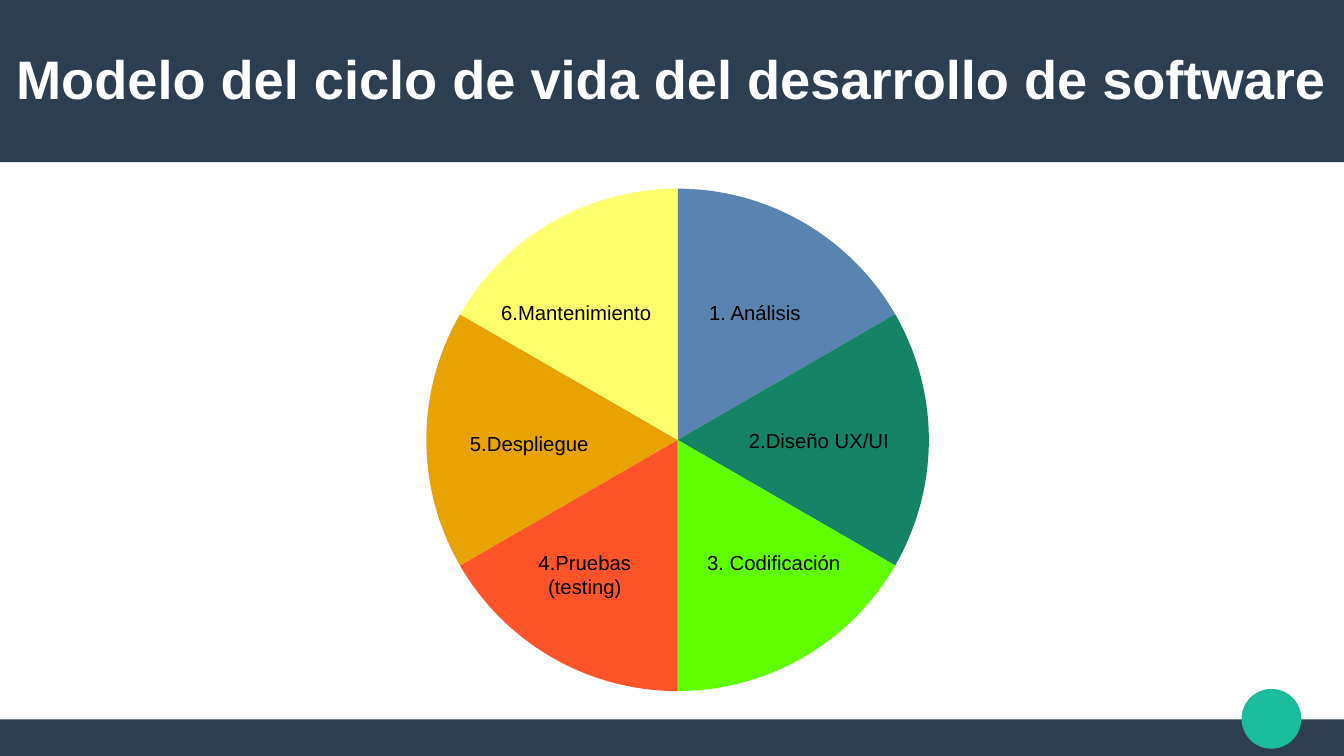
from lxml import etree
from pptx import Presentation
from pptx.chart.data import CategoryChartData
from pptx.dml.color import RGBColor
from pptx.enum.chart import XL_CHART_TYPE
from pptx.enum.shapes import MSO_SHAPE
from pptx.enum.text import MSO_ANCHOR, MSO_AUTO_SIZE, PP_ALIGN
from pptx.oxml.ns import qn
from pptx.util import Inches, Pt

WIDTH, HEIGHT = 11.02, 6.2
FONT = "Arial"
COLORS = {
    "band": "2C3E50",
    "accent": "1ABC9C",
    "title": "FFFFFF",
    "text": "000000",
    "analysis": "5983B0",
    "design": "158466",
    "coding": "60FF00",
    "testing": "FF5429",
    "deployment": "E8A202",
    "maintenance": "FFFF6D",
}
# Phase color, label, and label box relative to the chart box
PHASES = [
    ("analysis", "1. Análisis", (4.4, 1.05, 1, 0.29)),
    ("design", "2.Diseño UX/UI", (4.63, 2.1, 1.59, 0.33)),
    ("coding", "3. Codificación", (4.36, 3.1, 1.39, 0.29)),
    ("testing", "4.Pruebas\n(testing)", (2.65, 3.1, 1.71, 0.59)),
    ("deployment", "5.Despliegue", (2.28, 2.13, 1.54, 0.29)),
    ("maintenance", "6.Mantenimiento", (2.6, 1.05, 1.67, 0.36)),
]


def color(name):
    return RGBColor.from_string(COLORS[name])


def write_text(shape, text, *, size, color_name="text", bold=False,
               anchor=MSO_ANCHOR.TOP, margins=(0.1, 0.05)):
    frame = shape.text_frame
    frame.word_wrap = True
    frame.auto_size = MSO_AUTO_SIZE.NONE
    frame.vertical_anchor = anchor
    frame.margin_left = frame.margin_right = Inches(margins[0])
    frame.margin_top = frame.margin_bottom = Inches(margins[1])
    paragraph = frame.paragraphs[0]
    paragraph.alignment = PP_ALIGN.CENTER
    for index, line in enumerate(text.split("\n")):
        if index:
            paragraph.add_line_break()
        run = paragraph.add_run()
        run.text = line
        run.font.name = FONT
        run.font.size = Pt(size)
        run.font.bold = bold
        run.font.color.rgb = color(color_name)


def add_filled_shape(slide, kind, box, color_name):
    shape = slide.shapes.add_shape(kind, *map(Inches, box))
    shape.shadow.inherit = False
    shape.fill.solid()
    shape.fill.fore_color.rgb = color(color_name)
    shape.line.fill.background()


def add_header(slide, left, top, width, height):
    add_filled_shape(slide, MSO_SHAPE.RECTANGLE, (left, top, width, height), "band")
    title = slide.shapes.title
    title.left, title.top = Inches(left), Inches(top)
    title.width, title.height = Inches(width), Inches(height - 0.05)
    write_text(title, "Modelo del ciclo de vida del desarrollo de software",
               size=32, color_name="title", bold=True,
               anchor=MSO_ANCHOR.MIDDLE, margins=(0, 0))
    slide.shapes._spTree.append(title._element)  # bring the title above its band


def add_footer(slide, left, top, width, height):
    add_filled_shape(slide, MSO_SHAPE.RECTANGLE, (left, top, width, height), "band")
    diameter = 0.49
    add_filled_shape(slide, MSO_SHAPE.OVAL,
                     (left + width - 0.84, top - 0.25, diameter, diameter), "accent")


def set_plot_layout(chart, **fractions):
    """Fix the inner plot area, in fractions of the chart box."""
    plot_area = chart._chartSpace.chart.plotArea
    for old_layout in plot_area.findall(qn("c:layout")):
        plot_area.remove(old_layout)
    layout = etree.Element(qn("c:layout"))
    plot_area.insert(0, layout)
    manual = etree.SubElement(layout, qn("c:manualLayout"))
    settings = {"layoutTarget": "inner", "xMode": "edge", "yMode": "edge", **fractions}
    for tag, value in settings.items():
        etree.SubElement(manual, qn(f"c:{tag}")).set("val", str(value))


def add_life_cycle(slide, left, top, width, height):
    data = CategoryChartData()
    data.categories = [str(number) for number in range(1, len(PHASES) + 1)]
    for number in range(1, 4):
        data.add_series(f"Series {number}", [17] * len(PHASES))
    chart = slide.shapes.add_chart(
        XL_CHART_TYPE.PIE, *map(Inches, (left, top, width, height)), data).chart
    chart.replace_data(data)  # a new pie takes only the first series
    chart.has_legend = False
    chart.has_title = False
    chart.font.name = FONT
    chart.font.size = Pt(10)
    chart.font.color.rgb = color("text")
    chart.plots[0].vary_by_categories = True
    set_plot_layout(chart, x=0.243, y=0.042, w=0.519, h=0.922)

    for index, (phase, label, (x, y, w, h)) in enumerate(PHASES):
        point = chart.plots[0].series[0].points[index]
        point.format.fill.solid()
        point.format.fill.fore_color.rgb = color(phase)
        point.format.line.fill.background()
        box = slide.shapes.add_textbox(*map(Inches, (left + x, top + y, w, h)))
        write_text(box, label, size=12)


def main():
    presentation = Presentation()
    presentation.slide_width = Inches(WIDTH)
    presentation.slide_height = Inches(HEIGHT)
    slide = presentation.slides.add_slide(presentation.slide_layouts[5])
    add_footer(slide, 0, 5.9, WIDTH, 0.3)
    add_header(slide, 0, 0, WIDTH, 1.33)
    add_life_cycle(slide, 1.29, 1.36, 8.49, 4.47)
    presentation.save("out.pptx")


if __name__ == "__main__":
    main()
